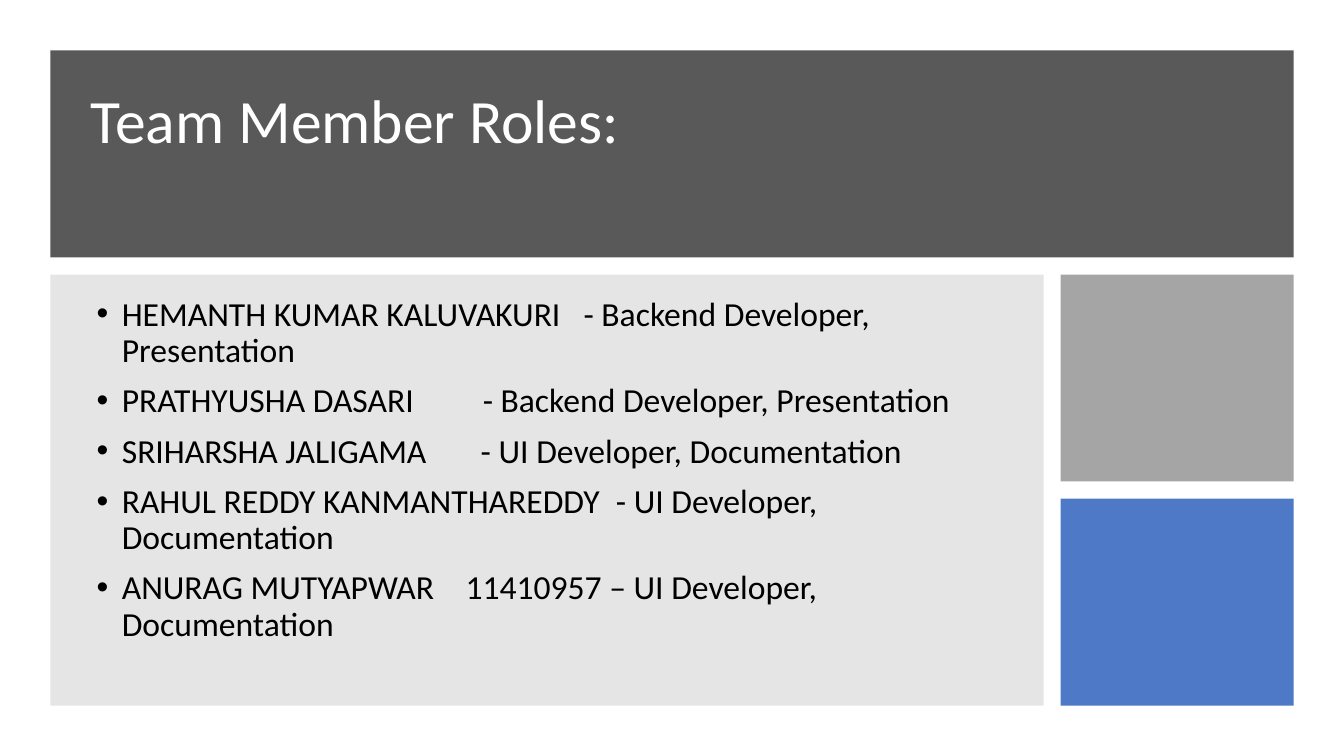
from lxml.etree import SubElement
from pptx import Presentation
from pptx.dml.color import RGBColor
from pptx.enum.shapes import MSO_SHAPE as Shape
from pptx.enum.text import MSO_ANCHOR as Anchor
from pptx.oxml.ns import qn
from pptx.util import Inches, Pt

deck = Presentation()
deck.slide_width, deck.slide_height = Inches(13.33), Inches(7.5)
page = deck.slides.add_slide(deck.slide_layouts[6])

# Grid: a margin all round, three equal rows, a wide and a narrow column
margin, gap = 0.5, 0.17
full_width, wide = 12.33, 9.85
narrow = full_width - wide - gap
row_height = (7.5 - 2 * margin - 2 * gap) / 3
row_tops = [margin + row * (row_height + gap) for row in range(3)]
side_left = margin + wide + gap


def color(hex_string):
    """Turn a hex string into a colour."""
    return RGBColor.from_string(hex_string)


def add_text_box(left, top, width, height):
    """Add a wrapping, top-anchored text box and return its frame."""
    box = page.shapes.add_textbox(*map(Inches, (left, top, width, height)))
    frame = box.text_frame
    frame.word_wrap = True
    frame.vertical_anchor = Anchor.TOP
    return frame


# Panels: left, top, width, height, fill, opacity in percent
panels = [
    (margin, row_tops[0], full_width, row_height, "595959", 100),
    (margin, row_tops[1], wide, 2 * row_height + gap, "808080", 20),
    (side_left, row_tops[1], narrow, row_height, "A5A5A5", 100),
    (side_left, row_tops[2], narrow, row_height, "4472C4", 95),
]
for *place, fill, opacity in panels:
    panel = page.shapes.add_shape(Shape.RECTANGLE, *map(Inches, place))
    panel.shadow.inherit = False
    panel.line.fill.background()
    panel.fill.solid()
    panel.fill.fore_color.rgb = color(fill)
    if opacity < 100:
        rgb = panel.fill._xPr.find(".//" + qn("a:srgbClr"))
        SubElement(rgb, qn("a:alpha"), val=str(opacity * 1000))

# Title
title = add_text_box(0.8, 0.85, 11.66, 0.8).paragraphs[0]
title.line_spacing = 0.9
span = title.add_run()
span.text = "Team Member Roles:"
span.font.name, span.font.size = "Calibri", Pt(44)
span.font.color.rgb = color("FFFFFF")

# Members: name, tab position of the role in inches, role
members = [
    ("HEMANTH KUMAR KALUVAKURI", 4.83, "- Backend Developer, Presentation"),
    ("PRATHYUSHA DASARI", 3.83, "- Backend Developer, Presentation"),
    ("SRIHARSHA JALIGAMA", 3.81, "- UI Developer, Documentation"),
    ("RAHUL REDDY KANMANTHAREDDY", 5.15, "- UI Developer, Documentation"),
    ("ANURAG MUTYAPWAR", 3.66, "11410957 – UI Developer, Documentation"),
]
roles = add_text_box(0.86, 2.9, 9.15, 3.61)
for index, (name, tab, role) in enumerate(members):
    para = roles.add_paragraph() if index else roles.paragraphs[0]
    para.line_spacing = 0.9
    para.space_before = Pt(10 if index else 0)
    for text in (name, "\t" + role):
        span = para.add_run()
        span.text = text
        span.font.name, span.font.size = "Calibri", Pt(24)
        span.font.color.rgb = color("000000")
    layout = para._p.get_or_add_pPr()
    layout.set("marL", str(Inches(0.25)))
    layout.set("indent", str(-Inches(0.25)))
    SubElement(layout, qn("a:buFont"), typeface="Arial")
    SubElement(layout, qn("a:buChar"), char="•")
    stops = SubElement(layout, qn("a:tabLst"))
    SubElement(stops, qn("a:tab"), pos=str(Inches(tab)), algn="l")

deck.save("out.pptx")
